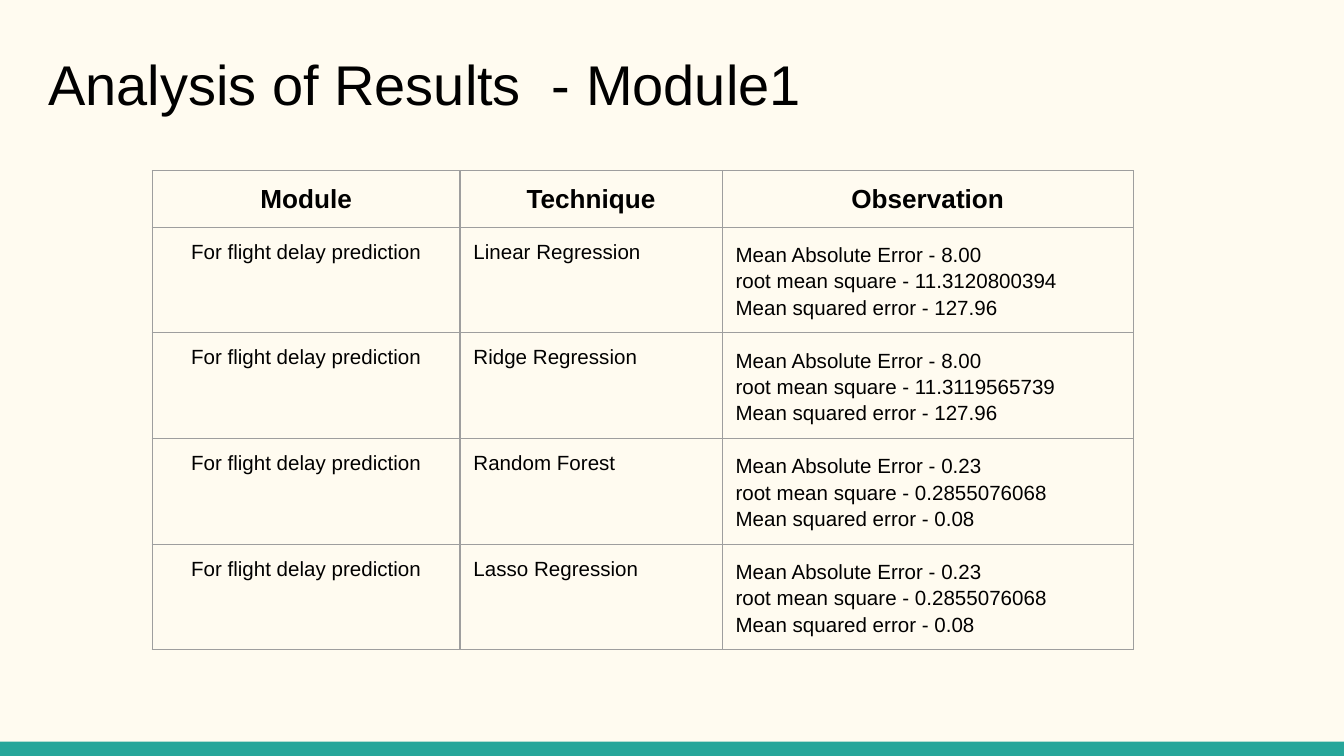
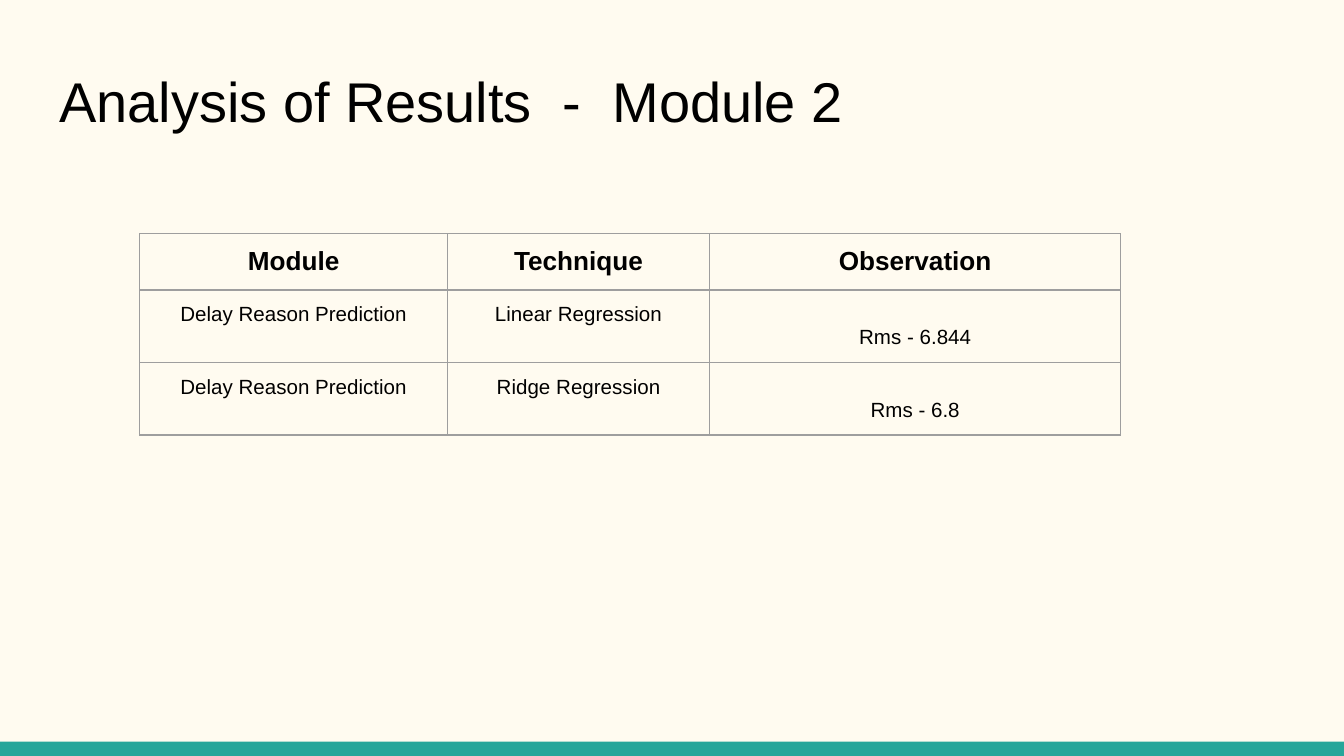
from lxml import etree
from pptx import Presentation
from pptx.dml.color import RGBColor
from pptx.enum.shapes import MSO_SHAPE
from pptx.enum.text import MSO_ANCHOR, MSO_AUTO_SIZE, PP_ALIGN
from pptx.oxml.ns import qn
from pptx.util import Inches, Pt

RECTANGLE = MSO_SHAPE.RECTANGLE
TOP = MSO_ANCHOR.TOP
NO_AUTOFIT = MSO_AUTO_SIZE.NONE
LEFT, CENTER = PP_ALIGN.LEFT, PP_ALIGN.CENTER
TITLE_ONLY = 5

COLORS = {"paper": "FFFBF0", "band": "26A69A", "ink": "000000", "rule": "9E9E9E"}
FONT = "Arial"
TITLE_SIZE, HEADER_SIZE, BODY_SIZE = 30, 14, 11
LINE_SPACING = 1.15
INSET = Inches(0.1)
LOWERED_INSET = Inches(0.27)  # one body line below the usual inset
BORDER = Pt(0.75)

# Percent of the slide's width (columns) and height (rows, band)
COLUMN_WIDTHS = (22.9, 19.5, 30.6)
ROW_HEIGHT = 7.4
BAND_HEIGHT = 1.9
HEADERS = ("Module", "Technique", "Observation")


class Deck:
    """Holds the shared style and the slide being built."""

    def __init__(self):
        self.prs = Presentation()
        self.prs.slide_width = Inches(10)
        self.prs.slide_height = self.prs.slide_width * 9 // 16
        self.slide = None

    def x(self, percent):
        return round(self.prs.slide_width * percent / 100)

    def y(self, percent):
        return round(self.prs.slide_height * percent / 100)

    def color(self, name):
        return RGBColor.from_string(COLORS[name])

    def new_slide(self):
        self.slide = self.prs.slides.add_slide(self.prs.slide_layouts[TITLE_ONLY])
        paper = self.slide.background.fill
        paper.solid()
        paper.fore_color.rgb = self.color("paper")
        self.band()

    def band(self):
        band = self.slide.shapes.add_shape(
            RECTANGLE, 0, self.y(100 - BAND_HEIGHT), self.x(100), self.y(BAND_HEIGHT))
        band.shadow.inherit = False
        band.fill.solid()
        band.fill.fore_color.rgb = self.color("band")
        band.line.fill.background()

    def format_runs(self, paragraph, size, bold=False):
        for run in paragraph.runs:
            font = run.font
            font.name, font.size, font.bold = FONT, Pt(size), bold
            font.color.rgb = self.color("ink")

    def title(self, text, left, top):
        title = self.slide.shapes.title
        title.left, title.top = self.x(left), self.y(top)
        title.width, title.height = self.x(93.2), self.y(12)
        frame = title.text_frame
        frame.text = text
        frame.word_wrap, frame.auto_size = True, NO_AUTOFIT
        frame.vertical_anchor = TOP
        frame.margin_left = frame.margin_right = INSET
        frame.margin_top = frame.margin_bottom = INSET
        heading = frame.paragraphs[0]
        heading.alignment, heading.line_spacing = LEFT, LINE_SPACING
        heading.space_before = Pt(4)
        self.format_runs(heading, TITLE_SIZE)

    def cell_borders(self, cell):
        properties = cell._tc.get_or_add_tcPr()
        for position, side in enumerate(("a:lnL", "a:lnR", "a:lnT", "a:lnB")):
            line = etree.Element(qn(side), w=str(BORDER))
            fill = etree.SubElement(line, qn("a:solidFill"))
            etree.SubElement(fill, qn("a:srgbClr"), val=COLORS["rule"])
            properties.insert(position, line)

    def cell(self, cell, text, size, bold=False, align=LEFT, spacing=None, top=INSET):
        cell.fill.background()
        self.cell_borders(cell)
        cell.margin_left = cell.margin_right = cell.margin_bottom = INSET
        cell.margin_top = top
        cell.vertical_anchor = TOP
        cell.text_frame.text = text
        for paragraph in cell.text_frame.paragraphs:
            paragraph.alignment = align
            if spacing:
                paragraph.line_spacing = spacing
            self.format_runs(paragraph, size, bold)

    def table(self, left, top, rows, technique_style, observation_style):
        # Rows start at header height and grow with their text
        count = len(rows) + 1
        table = self.slide.shapes.add_table(
            count, len(HEADERS), self.x(left), self.y(top),
            self.x(sum(COLUMN_WIDTHS)), self.y(ROW_HEIGHT * count)).table
        table.first_row = table.horz_banding = False
        for column, width in zip(table.columns, COLUMN_WIDTHS):
            column.width = self.x(width)
        for row in table.rows:
            row.height = self.y(ROW_HEIGHT)
        for column, header in enumerate(HEADERS):
            self.cell(table.cell(0, column), header, HEADER_SIZE, True, CENTER)
        styles = ({"align": CENTER}, technique_style, observation_style)
        for number, values in enumerate(rows, 1):
            for column, (value, style) in enumerate(zip(values, styles)):
                self.cell(table.cell(number, column), value, BODY_SIZE, **style)


def errors(absolute, root, squared):
    return (f"Mean Absolute Error - {absolute}\n"
            f"root mean square - {root}\n"
            f"Mean squared error - {squared}")


deck = Deck()

# Module 1: flight delay
delay_results = (
    ("Linear Regression", "8.00", "11.3120800394", "127.96"),
    ("Ridge Regression", "8.00", "11.3119565739", "127.96"),
    ("Random Forest", "0.23", "0.2855076068", "0.08"),
    ("Lasso Regression", "0.23", "0.2855076068", "0.08"),
)
deck.new_slide()
deck.title("Analysis of Results  - Module1 ", 2.6, 3.5)
deck.table(
    11.33, 22.6,
    [("For flight delay prediction", technique, errors(*measures))
     for technique, *measures in delay_results],
    {"align": LEFT}, {"spacing": LINE_SPACING})

# Module 2: delay reason
reason_results = (("Linear Regression", "6.844"), ("Ridge Regression", "6.8"))
deck.new_slide()
deck.title("Analysis of Results  -  Module 2 ", 3.4, 5.7)
deck.table(
    10.4, 30.9,
    [("Delay Reason Prediction", technique, f"Rms - {rms}")
     for technique, rms in reason_results],
    {"align": CENTER}, {"align": CENTER, "top": LOWERED_INSET})

deck.prs.save("out.pptx")
